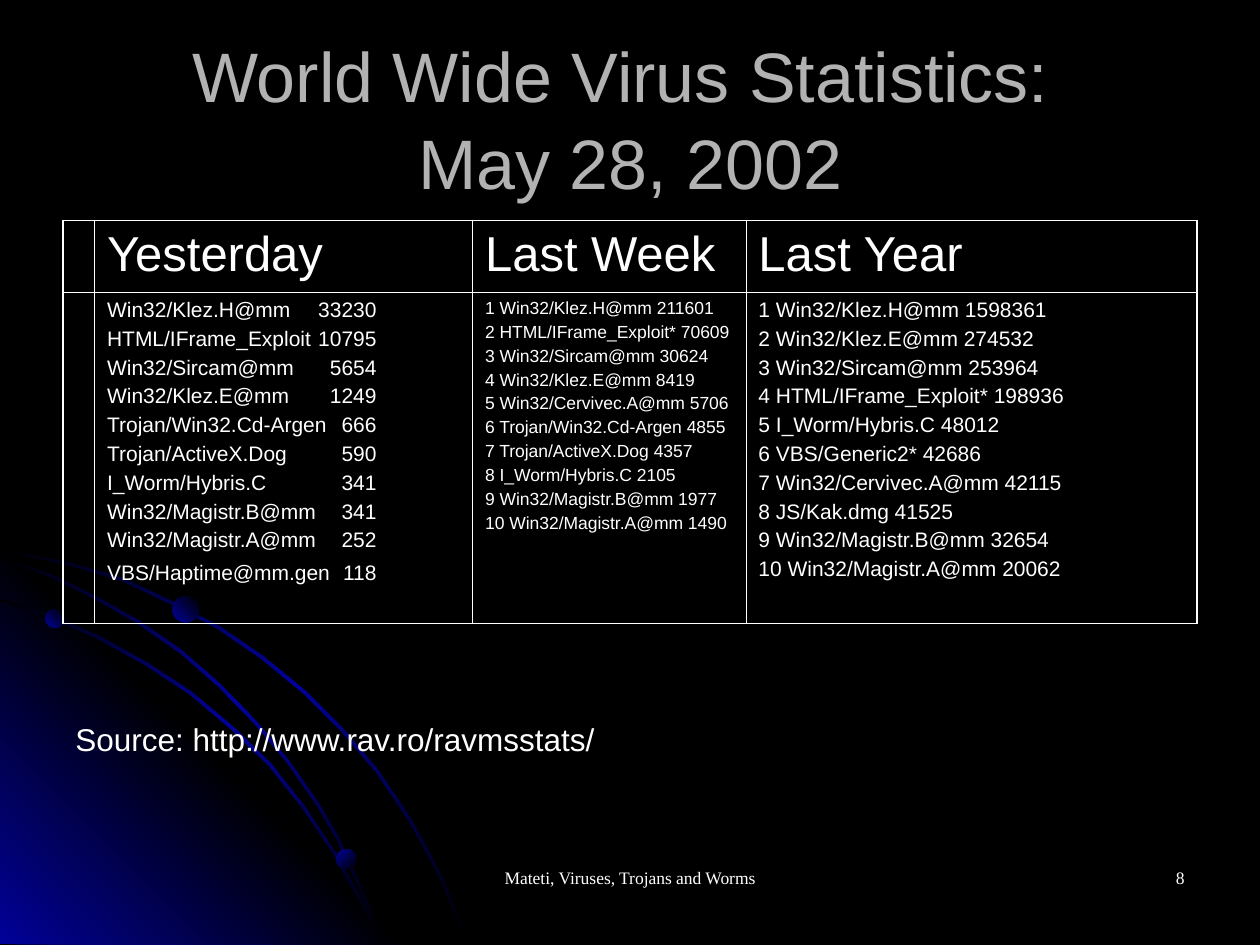
import copy

import pptx
import pptx.dml.color
import pptx.enum.shapes
import pptx.enum.text
import pptx.oxml
import pptx.oxml.ns
import pptx.util
from lxml import etree

Pt = pptx.util.Pt
qn = pptx.oxml.ns.qn
ALIGN = pptx.enum.text.PP_ALIGN
ANCHOR = pptx.enum.text.MSO_ANCHOR

HUES = {"back": "000000", "glow": "010199", "head": "B2B2B2", "text": "FFFFFF"}
FONTS = {
    "title": {"size": Pt(40), "name": "Arial", "hue": "head"},
    "top": {"size": Pt(28), "name": "Arial", "hue": "text"},
    "list": {"size": Pt(12), "name": "Arial", "hue": "text"},
    "small": {"size": Pt(10), "name": "Arial", "hue": "text"},
    "source": {"size": Pt(18), "name": "Arial", "hue": "text"},
    "foot": {"size": Pt(10), "name": "Times New Roman", "hue": "text"},
}

# Upper edge of each arc, in points from the corner of the art box
ARCS = [
    [(0, 6.2), (20.2, 10.5), (41, 14.8), (70.6, 23.5), (97.9, 36.4), (125.3, 50.8),
     (150.5, 68.1), (174.2, 87.6), (195.8, 109.2), (216, 132.9), (234, 159.6),
     (244.1, 177.6), (253.4, 195.6), (260.6, 213.6), (267.8, 232.3)],
    [(0, 35), (29.5, 44.4), (56.9, 56.6), (84.2, 71.7), (109.4, 88.3), (132.5, 107.7),
     (154.8, 129.3), (174.2, 153.8), (191.5, 179.7), (205.9, 205.6), (213.1, 218.6),
     (218.2, 232.3)],
    [(0, 11.2), (28.1, 20.6), (54.7, 33.6), (79.9, 48), (103.7, 64.5), (126, 84),
     (146.9, 105.6), (164.9, 127.2), (182.9, 153.1), (193.7, 171.8), (203, 192),
     (211.7, 211.4), (218.2, 232.3)],
]
BALLS = [(26, 41, 10.8, 135), (192.2, 178.3, 11.5, 225), (98.6, 33.6, 15.1, 135)]

DAY = [
    ("Win32/Klez.H@mm", 33230), ("HTML/IFrame_Exploit", 10795),
    ("Win32/Sircam@mm", 5654), ("Win32/Klez.E@mm", 1249),
    ("Trojan/Win32.Cd-Argen", 666), ("Trojan/ActiveX.Dog", 590),
    ("I_Worm/Hybris.C", 341), ("Win32/Magistr.B@mm", 341),
    ("Win32/Magistr.A@mm", 252), ("VBS/Haptime@mm.gen", 118),
]
WEEK = [
    ("Win32/Klez.H@mm", 211601), ("HTML/IFrame_Exploit*", 70609),
    ("Win32/Sircam@mm", 30624), ("Win32/Klez.E@mm", 8419),
    ("Win32/Cervivec.A@mm", 5706), ("Trojan/Win32.Cd-Argen", 4855),
    ("Trojan/ActiveX.Dog", 4357), ("I_Worm/Hybris.C", 2105),
    ("Win32/Magistr.B@mm", 1977), ("Win32/Magistr.A@mm", 1490),
]
YEAR = [
    ("Win32/Klez.H@mm", 1598361), ("Win32/Klez.E@mm", 274532),
    ("Win32/Sircam@mm", 253964), ("HTML/IFrame_Exploit*", 198936),
    ("I_Worm/Hybris.C", 48012), ("VBS/Generic2*", 42686),
    ("Win32/Cervivec.A@mm", 42115), ("JS/Kak.dmg", 41525),
    ("Win32/Magistr.B@mm", 32654), ("Win32/Magistr.A@mm", 20062),
]


def rgb(hue):
    return pptx.dml.color.RGBColor.from_string(HUES[hue])


def style(para, kind):
    for run in para.runs:
        for key, value in FONTS[kind].items():
            if key == "hue":
                run.font.color.rgb = rgb(value)
            else:
                setattr(run.font, key, value)


def shade(shape, hues, angle):
    """Fill a shape with evenly spaced hues, at a clockwise angle."""
    shape.shadow.inherit = False
    shape.line.fill.background()
    shape.fill.gradient()
    shape.fill.gradient_angle = 360 - angle
    stops = shape._element.spPr.find(".//" + qn("a:gsLst"))
    for stop in list(stops):
        stops.remove(stop)
    for i, hue in enumerate(hues):
        stop = etree.SubElement(stops, qn("a:gs"), pos=str(100000 * i // (len(hues) - 1)))
        etree.SubElement(stop, qn("a:srgbClr"), val=HUES[hue])


def outline(slide, box, spots):
    spots = [(Pt(box[0] + x), Pt(box[1] + y)) for x, y in spots]
    form = slide.shapes.build_freeform(*spots[0], scale=1.0)
    form.add_line_segments(spots[1:], close=True)
    return form.convert_to_shape()


def draw_art(slide, box):
    """Corner glow, with arcs and balls over it."""
    left, top, wide, high = box
    dark = ["back", "glow", "back"]

    def arc(upper):
        lower = [(max(x - 1, 0), min(y + 1.4, high)) for x, y in upper]
        shade(outline(slide, box, upper + lower[::-1]), dark, 225)

    arc(ARCS[0])
    glow = outline(slide, box, [(wide, high), (0, high), (0, 0)])
    shade(glow, ["glow", "back", "glow"], 135)
    for upper in ARCS[1:]:
        arc(upper)
    for x, y, size, angle in BALLS:
        ball = slide.shapes.add_shape(pptx.enum.shapes.MSO_SHAPE.OVAL,
                                      Pt(left + x), Pt(top + y), Pt(size), Pt(size))
        shade(ball, ["back", "glow"], angle)


def set_title(slide, box, text):
    title = slide.shapes.title
    for key, value in zip(("left", "top", "width", "height"), box):
        setattr(title, key, Pt(value))
    frame = title.text_frame
    frame.text = text
    frame.auto_size = pptx.enum.text.MSO_AUTO_SIZE.NONE
    frame.vertical_anchor = ANCHOR.MIDDLE
    para = frame.paragraphs[0]
    para.alignment = ALIGN.CENTER
    para.line_spacing = 1.04
    style(para, "title")
    for gap in para._p.findall(qn("a:br")):
        gap.insert(0, copy.deepcopy(para.runs[0]._r.rPr))


def add_text(slide, box, text, kind, align=ALIGN.LEFT, wrap=True):
    frame = slide.shapes.add_textbox(*map(Pt, box)).text_frame
    frame.word_wrap = wrap
    para = frame.paragraphs[0]
    para.text = text
    para.alignment = align
    style(para, kind)


def edge(cell, outer):
    """Draw the four cell borders, thicker on the outer sides."""
    props = cell._tc.get_or_add_tcPr()
    for side in "LRTB":
        width = Pt(1.08 if side in outer else 0.45)
        line = etree.SubElement(props, qn("a:ln" + side), w=str(width))
        fill = etree.SubElement(line, qn("a:solidFill"))
        etree.SubElement(fill, qn("a:srgbClr"), val=HUES["text"])


def fill_cell(cell, lines, kind, gap, stop=None):
    cell.text = "\n".join(lines)
    for i, para in enumerate(cell.text_frame.paragraphs):
        if i:
            para.space_before = Pt(gap)
        if stop:
            tabs = etree.SubElement(para._p.get_or_add_pPr(), qn("a:tabLst"))
            etree.SubElement(tabs, qn("a:tab"), pos=str(Pt(stop)), algn="r")
        style(para, kind)


def add_stats(slide, box):
    grid = slide.shapes.add_table(2, 4, *map(Pt, box)).table
    grid.first_row = grid.horz_banding = False
    for col, width in zip(grid.columns, (18, 216, 156.24, 257.76)):
        col.width = Pt(width)
    for row, height in zip(grid.rows, (41.04, 189.36)):
        row.height = Pt(height)
    for r in range(2):
        for c in range(4):
            cell = grid.cell(r, c)
            edge(cell, "TB"[r] + {0: "L", 3: "R"}.get(c, ""))
            cell.fill.background()
    for c, head in enumerate(("Yesterday", "Last Week", "Last Year"), 1):
        fill_cell(grid.cell(0, c), [head], "top", 0)
    day = grid.cell(1, 1)
    fill_cell(day, [f"{name}\t{count}" for name, count in DAY], "list", 3, 154)
    day.text_frame.paragraphs[-1].space_before = Pt(5)
    for c, data, kind, gap in ((2, WEEK, "small", 2.5), (3, YEAR, "list", 3)):
        lines = [f"{i} {name} {count}" for i, (name, count) in enumerate(data, 1)]
        fill_cell(grid.cell(1, c), lines, kind, gap)


def main():
    deck = pptx.Presentation()
    deck.slide_width, deck.slide_height = Pt(720), Pt(540)
    slide = deck.slides.add_slide(deck.slide_layouts[5])
    back = slide.background.fill
    back.solid()
    back.fore_color.rgb = rgb("back")
    draw_art(slide, (0, 307, 232, 232.5))
    set_title(slide, (36, 21.6, 648, 90), "World Wide Virus Statistics: \vMay 28, 2002")
    add_stats(slide, (36, 126, 648, 230.4))
    add_text(slide, (36, 408, 313, 29), "Source: http://www.rav.ro/ravmsstats/",
             "source", wrap=False)
    add_text(slide, (246, 492, 228, 36), "Mateti, Viruses, Trojans and Worms",
             "foot", ALIGN.CENTER)
    add_text(slide, (516, 492, 168, 36), "8", "foot", ALIGN.RIGHT)
    deck.save("out.pptx")


if __name__ == "__main__":
    main()
